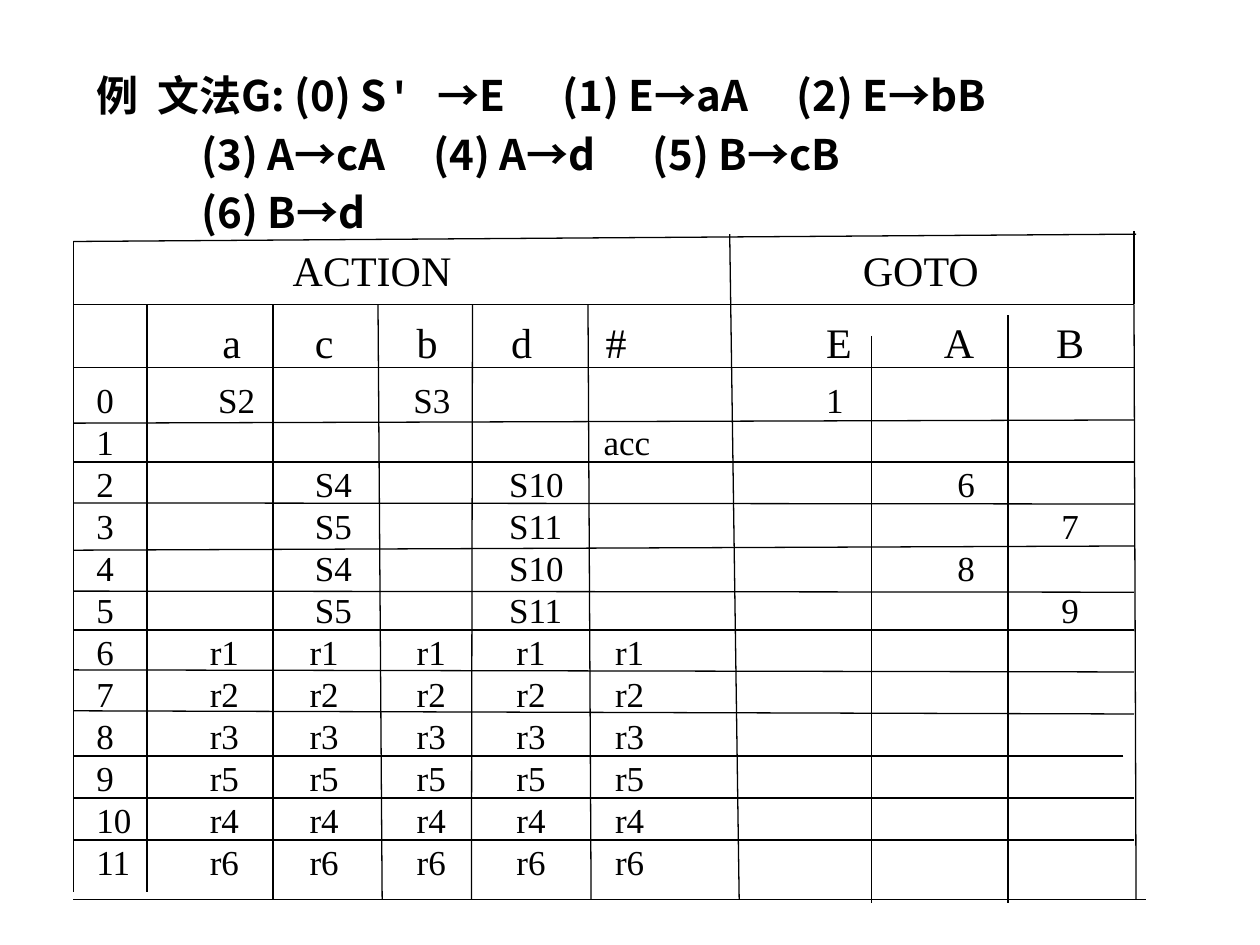
from dataclasses import dataclass

from lxml import etree
from pptx import Presentation
from pptx.dml.color import RGBColor
from pptx.enum.shapes import MSO_CONNECTOR
from pptx.enum.text import MSO_AUTO_SIZE
from pptx.oxml.ns import qn
from pptx.util import Inches, Pt

STRAIGHT = MSO_CONNECTOR.STRAIGHT
GROW = MSO_AUTO_SIZE.SHAPE_TO_FIT_TEXT
COLUMNS, ROWS = 120, 90


@dataclass(frozen=True)
class Theme:
    """Colours, fonts and type sizes of the page."""
    ink: RGBColor = RGBColor(0, 0, 0)
    title_font: str = "Noto Sans CJK SC"
    prime_font: str = "Courier New"
    table_font: str = "Times New Roman"
    large: float = 24
    small: float = 20
    rule: float = 0.75


THEME = Theme()

GRAMMAR_STOPS = (5.8, 44.4, 66.7)
GRAMMAR_NEXT_STOPS = (10, 32.1, 53)
GROUP_STOPS = (18.7, 73)
SYMBOL_STOPS = (12, 20.8, 30.5, 39.5, 48.5, 69.5, 80.7, 91.4)
SHIFT_STOPS = (11.6, 20.8, 30.2, 39.3, 48.3, 69.5, 82, 91.9)
REDUCE_STOPS = (10.8, 20.3, 30.5, 40, 49.4)

SYMBOLS = ("", "a", "c", "b", "d", "#", "E", "A", "B")
SHIFT_ROWS = (
    ("0", "S2", "", "S3", "", "", "1"),
    ("1", "", "", "", "", "acc"),
    ("2", "", "S4", "", "S10", "", "", "6"),
    ("3", "", "S5", "", "S11", "", "", "", "7"),
    ("4", "", "S4", "", "S10", "", "", "8"),
    ("5", "", "S5", "", "S11", "", "", "", "9"),
)
REDUCTIONS = ("r1", "r2", "r3", "r5", "r4", "r6")
FIRST_ROW_GAP, ROW_GAP = 17.2, 12

LEFT, SPLIT, RIGHT = 7, 74, 108
TOP, HEAD, BOTTOM = 22.3, 29, 85.7
COLUMN_RULES = (
    (69.5, TOP, 70.4, BOTTOM),
    (26, HEAD, 26, BOTTOM),
    (36, HEAD, 36.4, BOTTOM),
    (45, HEAD, 44.9, BOTTOM),
    (56, HEAD, 56.3, BOTTOM),
    (83, 32, 83, 86),
    (96, 30, 96, 86),
    (RIGHT, HEAD, 108.2, BOTTOM),
    (LEFT, HEAD, LEFT, 85),
    (14, HEAD, 14, 85),
    (LEFT, 23, LEFT, HEAD),
    (RIGHT, 22, RIGHT, HEAD),
)
FRAME_RULES = (
    (109.1, BOTTOM, LEFT, BOTTOM),
    (108.2, TOP, LEFT, 23),
    (LEFT, HEAD, SPLIT, HEAD),
    (RIGHT, HEAD, SPLIT, HEAD),
    (107, 72, LEFT, 72),
)
ROW_RULES = ((35, 35), (40, 40.3), (44, 44), (48, 47.9), (52, 52.4), (56.4, 56.3),
             (60, 60), (64, 63.8), (68, 67.7), (76, 76), (80, 80))


def across(deck, columns):
    """Turn grid columns into a length."""
    return round(deck.slide_width * columns / COLUMNS)


def down(deck, rows):
    """Turn grid rows into a length."""
    return round(deck.slide_height * rows / ROWS)


def add_span(para, text, font, size, bold=False):
    """Add text to a paragraph in the given format."""
    span = para.add_run()
    span.text = text
    span.font.name = font
    span.font.size = Pt(size)
    span.font.bold = bold
    span.font.color.rgb = THEME.ink
    east = etree.SubElement(span.font._element, qn("a:ea"))
    east.set("typeface", font)


def add_para(deck, box, spans, stops, before=0, line=1.0):
    """Add a paragraph of formatted spans set on tab stops."""
    frame = box.text_frame
    para = frame.add_paragraph() if frame.paragraphs[0].runs else frame.paragraphs[0]
    para.space_before = Pt(before)
    para.line_spacing = line
    tabs = etree.SubElement(para._p.get_or_add_pPr(), qn("a:tabLst"))
    for stop in stops:
        etree.SubElement(tabs, qn("a:tab"), pos=str(across(deck, stop)), algn="l")
    for text, form in spans:
        add_span(para, text, **form)


def add_rule(deck, page, start_x, start_y, end_x, end_y):
    """Draw one thin line between two grid points."""
    rule = page.shapes.add_connector(
        STRAIGHT, across(deck, start_x), down(deck, start_y),
        across(deck, end_x), down(deck, end_y))
    rule.line.color.rgb = THEME.ink
    rule.line.width = Pt(THEME.rule)
    etree.SubElement(rule._element.spPr, qn("a:effectLst"))


def add_grammar(deck, box):
    """Write the numbered productions of the grammar."""
    form = {"font": THEME.title_font, "size": THEME.large, "bold": True}
    prime = {**form, "font": THEME.prime_font}
    add_para(deck, box, [("例\t文法G: (0) S", form), ("′ ", prime),
                         ("→E\t(1) E→aA\t(2) E→bB", form)],
             GRAMMAR_STOPS, line=Pt(29))
    for text in ("\t(3) A→cA\t(4) A→d\t(5) B→cB", "\t(6) B→d"):
        add_para(deck, box, [(text, form)], GRAMMAR_NEXT_STOPS, 5, Pt(28.5))


def add_entries(deck, box):
    """Write the headings and the rows of the parsing table."""
    head = {"font": THEME.table_font, "size": THEME.large}
    body = {**head, "size": THEME.small}
    add_para(deck, box, [("\tACTION\tGOTO", head)], GROUP_STOPS, 4)
    add_para(deck, box, [("\t".join(SYMBOLS), head)], SYMBOL_STOPS, 12.3)
    for state, cells in enumerate(SHIFT_ROWS):
        before = ROW_GAP if state else FIRST_ROW_GAP
        add_para(deck, box, [("\t".join(cells), body)], SHIFT_STOPS, before, 0.5)
    for state, action in enumerate(REDUCTIONS, len(SHIFT_ROWS)):
        cells = [str(state)] + [action] * len(REDUCE_STOPS)
        add_para(deck, box, [("\t".join(cells), body)], REDUCE_STOPS, ROW_GAP, 0.5)


def main():
    """Build the page and save it."""
    deck = Presentation()
    deck.slide_width, deck.slide_height = Inches(10), Inches(7.5)
    page = deck.slides.add_slide(deck.slide_layouts[6])
    box = page.shapes.add_textbox(across(deck, 8), down(deck, 6),
                                  across(deck, 104), down(deck, 78.5))
    box.text_frame.word_wrap = True
    box.text_frame.auto_size = GROW
    add_grammar(deck, box)
    add_entries(deck, box)
    for ends in COLUMN_RULES + FRAME_RULES:
        add_rule(deck, page, *ends)
    for right_y, left_y in ROW_RULES:
        add_rule(deck, page, RIGHT, right_y, LEFT, left_y)
    deck.save("out.pptx")


if __name__ == "__main__":
    main()
